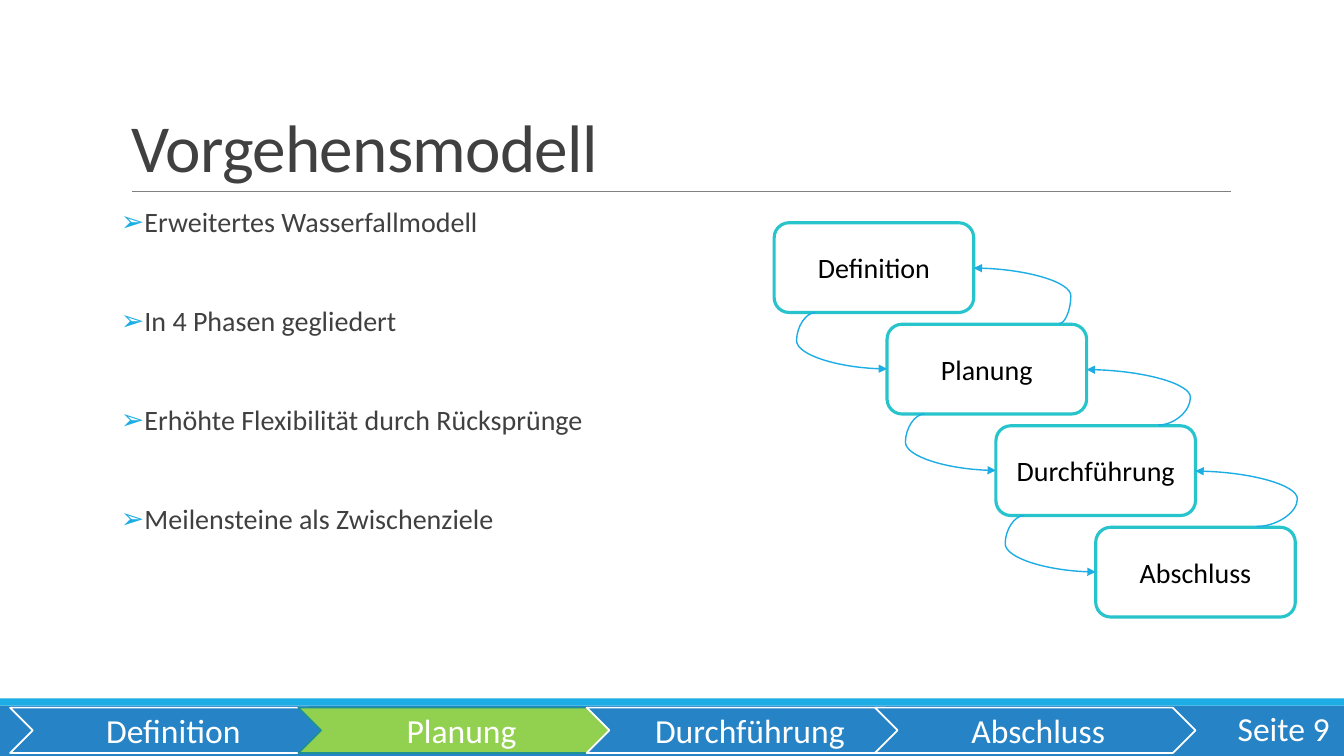
import dataclasses

import lxml.etree
import pptx
import pptx.dml.color
import pptx.enum.shapes
import pptx.enum.text
import pptx.oxml.ns
import pptx.util

FORM = pptx.enum.shapes.MSO_SHAPE
ALIGN = pptx.enum.text.PP_ALIGN
ANCHOR = pptx.enum.text.MSO_ANCHOR


@dataclasses.dataclass(frozen=True)
class Theme:
    """Colours and type sizes of the deck."""
    font: str = "Calibri"
    blue: str = "2683C6"
    sky: str = "1CADE4"
    green: str = "92D050"
    teal: str = "1E9197"
    aqua: str = "28C4CC"
    grey: str = "808080"
    dark: str = "404040"
    black: str = "000000"
    white: str = "FFFFFF"
    head: int = 48
    bar: int = 24
    body: int = 20


def cell(n):
    """Turn grid columns or rows, ten to the inch, into a length."""
    return pptx.util.Inches(n / 10)


def tint(code):
    """Turn a hex code into a colour."""
    return pptx.dml.color.RGBColor.from_string(code)


def node(parent, tag, **attrs):
    """Append a drawing element to its parent."""
    return lxml.etree.SubElement(parent, pptx.oxml.ns.qn(tag), **attrs)


class Page:
    """Draws elements on a slide of 133.3 columns by 75 rows."""

    def __init__(self, deck, theme):
        self.theme = theme
        self.slide = deck.slides.add_slide(deck.slide_layouts[1])
        self.shapes = self.slide.shapes

    def style(self, para, size, color, align=ALIGN.LEFT):
        """Set alignment and font of a paragraph."""
        para.alignment = align
        font = para.font
        font.name, font.size = self.theme.font, pptx.util.Pt(size)
        font.color.rgb = tint(color)

    def place(self, item, box):
        """Move an item to a grid box."""
        item.left, item.top, item.width, item.height = map(cell, box)

    def title(self, text, box):
        """Fill the title placeholder."""
        item = self.shapes.title
        self.place(item, box)
        frame = item.text_frame
        frame.text = text
        frame.auto_size = pptx.enum.text.MSO_AUTO_SIZE.NONE
        frame.vertical_anchor = ANCHOR.BOTTOM
        para = frame.paragraphs[0]
        para.line_spacing = 0.85
        self.style(para, self.theme.head, self.theme.dark)
        para.runs[0].font._element.set("spc", "-50")

    def bullets(self, lines, box):
        """Fill the body placeholder with a spaced list."""
        item = self.slide.placeholders[1]
        self.place(item, box)
        frame = item.text_frame
        frame.text = "\n".join(lines)
        frame.auto_size = pptx.enum.text.MSO_AUTO_SIZE.NONE
        frame.vertical_anchor = ANCHOR.TOP
        frame.margin_left = frame.margin_right = 0
        for i, para in enumerate(frame.paragraphs):
            para.line_spacing = 0.9
            para.space_before = pptx.util.Pt(47 if i else 12)
            para.space_after = pptx.util.Pt(2)
            props = para._p.get_or_add_pPr()
            props.set("marL", str(cell(1)))
            props.set("indent", str(-cell(1)))
            node(node(props, "a:buClr"), "a:srgbClr", val=self.theme.sky)
            node(props, "a:buChar", char="➢")
            self.style(para, self.theme.body, self.theme.dark)

    def shape(self, form, box, fill, edge=None, width=1.25):
        """Draw a filled shape with an optional outline."""
        item = self.shapes.add_shape(form, *map(cell, box))
        item.shadow.inherit = False
        item.fill.solid()
        item.fill.fore_color.rgb = tint(fill)
        if edge:
            item.line.color.rgb = tint(edge)
            item.line.width = pptx.util.Pt(width)
        else:
            item.line.fill.background()
        return item

    def label(self, item, text, size, color, align=ALIGN.CENTER):
        """Write one centred line into a shape."""
        frame = item.text_frame
        frame.word_wrap = True
        frame.vertical_anchor = ANCHOR.MIDDLE
        frame.text = text
        self.style(frame.paragraphs[0], size, color, align)
        return frame

    def phase(self, text, box, fill, edge):
        """Draw one chevron of the progress bar."""
        item = self.shape(FORM.CHEVRON, box, fill, edge)
        frame = self.label(item, text, self.theme.bar, self.theme.white)
        frame.margin_left = cell(1)
        frame.margin_right = frame.margin_top = frame.margin_bottom = cell(0.4)

    def step(self, text, box):
        """Draw one box of the waterfall."""
        item = self.shape(FORM.ROUNDED_RECTANGLE, box, self.theme.white,
                          self.theme.aqua, 2.25)
        self.label(item, text, self.theme.body, self.theme.black)

    def note(self, text, box):
        """Write a right-aligned text on the bar."""
        item = self.shapes.add_textbox(*map(cell, box))
        self.label(item, text, self.theme.bar, self.theme.white, ALIGN.RIGHT)

    def line(self, start, end, color, width, bend=None):
        """Draw a rule, or a curved arrow if a bend is given."""
        kinds = pptx.enum.shapes.MSO_CONNECTOR
        kind = kinds.STRAIGHT if bend is None else kinds.CURVE
        item = self.shapes.add_connector(kind, *map(cell, (*start, *end)))
        item.line.color.rgb = tint(color)
        item.line.width = pptx.util.Pt(width)
        props = item._element.spPr
        node(props, "a:effectLst")
        if bend is not None:
            node(item.line._get_or_add_ln(), "a:tailEnd", type="triangle")
            guides = props.find(".//" + pptx.oxml.ns.qn("a:avLst"))
            node(guides, "a:gd", name="adj1", fmla=f"val {round(bend * 100000)}")


def main():
    """Build and save the slide."""
    deck = pptx.Presentation()
    deck.slide_width, deck.slide_height = cell(133.33), cell(75)
    theme = Theme()
    page = Page(deck, theme)
    names = ["Definition", "Planung", "Durchführung", "Abschluss"]

    page.shape(FORM.RECTANGLE, (0, 70, 133.33, 5), theme.blue)
    page.shape(FORM.RECTANGLE, (0, 69.3, 133.33, 0.7), theme.sky)
    page.line((13.1, 19), (122.1, 19), theme.grey, 0.5)
    page.title("Vorgehensmodell", (12, 3.1, 110, 15.9))
    page.bullets(["Erweitertes Wasserfallmodell", "In 4 Phasen gegliedert",
                  "Erhöhte Flexibilität durch Rücksprünge",
                  "Meilensteine als Zwischenziele"], (12, 20.2, 110, 44))

    for i, name in enumerate(names):
        now = name == "Planung"
        page.phase(name, (1 + 28.6 * i, 70.2, 31.8, 4.5),
                   theme.green if now else theme.blue,
                   theme.teal if now else theme.white)
    page.note("Seite 9", (118.6, 70.2, 14.3, 4))

    wide, high, pitch = 19.8, 8.9, 10.07
    lefts = [76.8, 88, 98.8, 108.7]
    tops = [22.1 + pitch * i for i in range(len(names))]
    for name, left, top in zip(names, lefts, tops):
        page.step(name, (left, top, wide, high))

    backs = [(8.5, -0.134), (7.1, -0.451), (6, -0.686)]
    for left, after, top, (run, bend) in zip(lefts, lefts[1:], tops, backs):
        low, right = top + high, left + wide
        page.line((after - 7.1, low), (after, low + 5.6), theme.sky, 1, -0.265)
        page.line((right + run, top + 10), (right, top + 4.5), theme.sky, 1, bend)

    deck.save("out.pptx")


if __name__ == "__main__":
    main()
